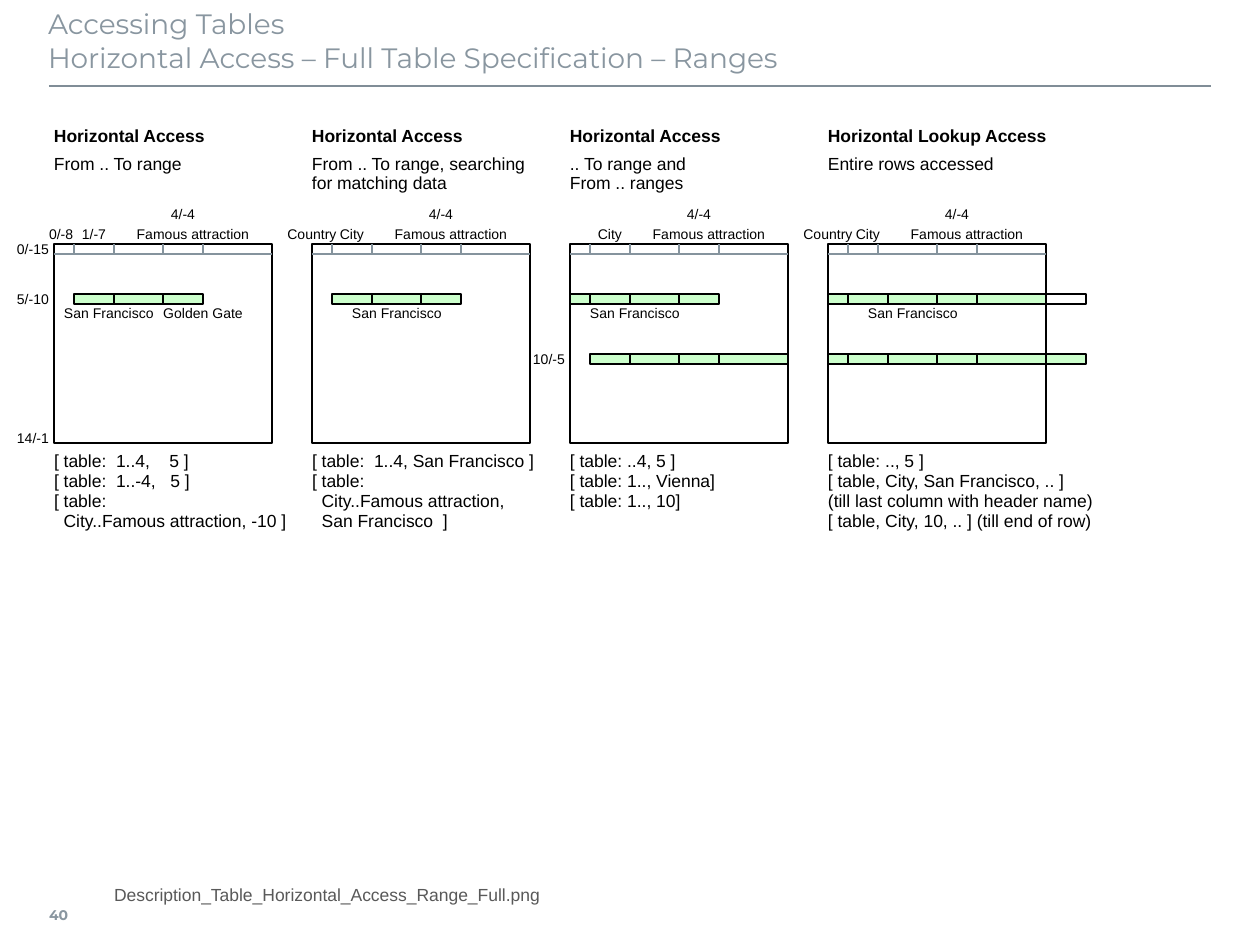
from lxml.etree import SubElement
from pptx import Presentation
from pptx.dml.color import RGBColor
from pptx.enum.shapes import MSO_CONNECTOR as CONN, MSO_SHAPE as SHAPE
from pptx.enum.text import MSO_ANCHOR as ANCHOR, MSO_AUTO_SIZE as AUTO, PP_ALIGN as ALIGN
from pptx.oxml.ns import qn
from pptx.util import Pt

PX = 914400 / 126
BLACK = RGBColor(0x00, 0x00, 0x00)
GREEN = RGBColor(0xCC, 0xFF, 0xCC)
TICK = RGBColor(0x85, 0x93, 0x9D)
RULE = RGBColor(0x80, 0x8D, 0x97)
SLATE = RGBColor(0x89, 0x96, 0xA0)
GRAY = RGBColor(0x59, 0x59, 0x59)

prs = Presentation()
prs.slide_width, prs.slide_height = round(1260 * PX), round(945 * PX)
s = prs.slides.add_slide(prs.slide_layouts[1])


def write(text, x, y, w, h, sp=None, size=10, font="Arial", color=BLACK, bold=False,
          align=ALIGN.LEFT, anchor=ANCHOR.MIDDLE, inset=(0, 0, 0, 0), wrap=False, spacing=1.0):
    box = [round(v * PX) for v in (x, y, w, h)]
    sp = sp or s.shapes.add_textbox(*box)
    sp.left, sp.top, sp.width, sp.height = box
    tf = sp.text_frame
    tf.text = text
    tf.auto_size, tf.word_wrap, tf.vertical_anchor = AUTO.NONE, wrap, anchor
    tf.margin_left, tf.margin_top, tf.margin_right, tf.margin_bottom = [round(v * PX) for v in inset]
    for p in tf.paragraphs:
        pPr = p._p.get_or_add_pPr()
        pPr.set("marL", "0")
        pPr.set("indent", "0")
        SubElement(pPr, qn("a:buNone"))
        p.alignment, p.line_spacing, p.space_before = align, spacing, Pt(0)
        for r in p.runs:
            r.font.size, r.font.name, r.font.bold = Pt(size), font, bold
            r.font.color.rgb = color


def add_line(x1, y1, x2, y2, color, width=0.75):
    c = s.shapes.add_connector(CONN.STRAIGHT, *[round(v * PX) for v in (x1, y1, x2, y2)])
    c.line.color.rgb, c.line.width = color, Pt(width)
    SubElement(c._element.spPr, qn("a:effectLst"))


write("Accessing Tables\vHorizontal Access – Full Table Specification – Ranges", 48, 1, 1160, 80,
      sp=s.shapes.title, size=16, font="Montserrat", color=SLATE, anchor=ANCHOR.TOP,
      inset=(0, 6, 13, 6), wrap=True)
write("Description_Table_Horizontal_Access_Range_Full.png", 104, 870, 843, 49,
      sp=s.placeholders[1], color=GRAY, inset=(10, 6, 10, 6), wrap=True)
write("40", 49, 890, 44, 49, size=8, font="Montserrat", color=SLATE, bold=True, inset=(0, 6, 10, 6))
add_line(49, 86, 1211, 86, RULE, 1)

LEFT, PITCH, WIDTH, HEIGHT, TOP, ROW = 54, 258, 218, 199, 244, 10
EDGES = [0, 20, 60, 109, 149, 218, 258]
ROW_5, ROW_10 = 294, 354
panels = [
    ("Horizontal Access", "From .. To range",
     "[ table:  1..4,    5 ]\n[ table:  1..-4,   5 ]\n[ table:\n  City..Famous attraction, -10 ]",
     [(ROW_5, 1, 4)], 60, 10),
    ("Horizontal Access", "From .. To range, searching\nfor matching data",
     "[ table:  1..4, San Francisco ]\n[ table:\n  City..Famous attraction,\v  San Francisco  ]",
     [(ROW_5, 1, 4)], 60, 40),
    ("Horizontal Access", ".. To range and\nFrom .. ranges",
     "[ table: ..4, 5 ]\n[ table: 1.., Vienna]\n[ table: 1.., 10]",
     [(ROW_5, 0, 4), (ROW_10, 1, 5)], 60, 20),
    ("Horizontal Lookup Access", "Entire rows accessed",
     "[ table: .., 5 ]\n[ table, City, San Francisco, .. ]\n(till last column with header name)\n"
     "[ table, City, 10, .. ] (till end of row)",
     [(ROW_5, 0, 5), (ROW_10, 0, 6)], 50, 40),
]

for i, (heading, summary, code, bars, city_edge, match_x) in enumerate(panels):
    x = LEFT + i * PITCH
    rects = [(0, TOP, WIDTH, HEIGHT, None)]
    for y, first, last in bars:
        rects += [(a, y, b - a, ROW, GREEN) for a, b in zip(EDGES[first:last], EDGES[first + 1:last + 1])]
    if i == 3:
        rects.append((WIDTH, ROW_5, EDGES[6] - WIDTH, ROW, None))
    for dx, y, w, h, fill in rects:
        sp = s.shapes.add_shape(SHAPE.RECTANGLE, *[round(v * PX) for v in (x + dx, y, w, h)])
        sp.shadow.inherit = False
        sp.line.color.rgb, sp.line.width = BLACK, Pt(0.75)
        if fill:
            sp.fill.solid()
            sp.fill.fore_color.rgb = fill
        else:
            sp.fill.background()
    add_line(x, TOP + ROW, x + WIDTH, TOP + ROW, TICK)
    for dx in (EDGES[1], city_edge, EDGES[3], EDGES[4]):
        add_line(x + dx, TOP, x + dx, TOP + ROW, TICK)
    write(heading, x, 125, 149, 20, bold=True)
    write(summary, x, 155, 149, 49, anchor=ANCHOR.TOP, spacing=0.9)
    write(code, x, 452, 387 if i == 3 else WIDTH, 69, anchor=ANCHOR.TOP, spacing=0.95)
    write("San Francisco", x + match_x, 304, 129, 20, size=8, spacing=0.95)

write("Golden Gate", 144, 304, 99, 20, size=8, align=ALIGN.RIGHT, spacing=0.95)

labels = [(i, text, dx, y, 20, ALIGN.CENTER) for i in range(4)
          for text, dx, y in (("4/-4", 119, 204), ("Famous attraction", 129, 224))]
labels += [(i, "City", 30, 224, 20, ALIGN.CENTER) for i in (1, 2, 3)]
labels += [(i, "Country", -10, 224, 20, ALIGN.CENTER) for i in (1, 3)]
labels += [(0, "0/-8", -10, 224, 20, ALIGN.LEFT), (0, "1/-7", 30, 224, 20, ALIGN.CENTER)]
labels += [(i, text, -20, y, ROW, ALIGN.RIGHT) for i, text, y in (
    (0, "0/-15", TOP), (0, "5/-10", ROW_5), (0, "14/-1", 433), (2, "10/-5", ROW_10))]
for i, text, dx, y, h, align in labels:
    write(text, LEFT + i * PITCH + dx, y, 20, h, size=8, align=align, inset=(5, 5, 5, 5))

prs.save("out.pptx")
